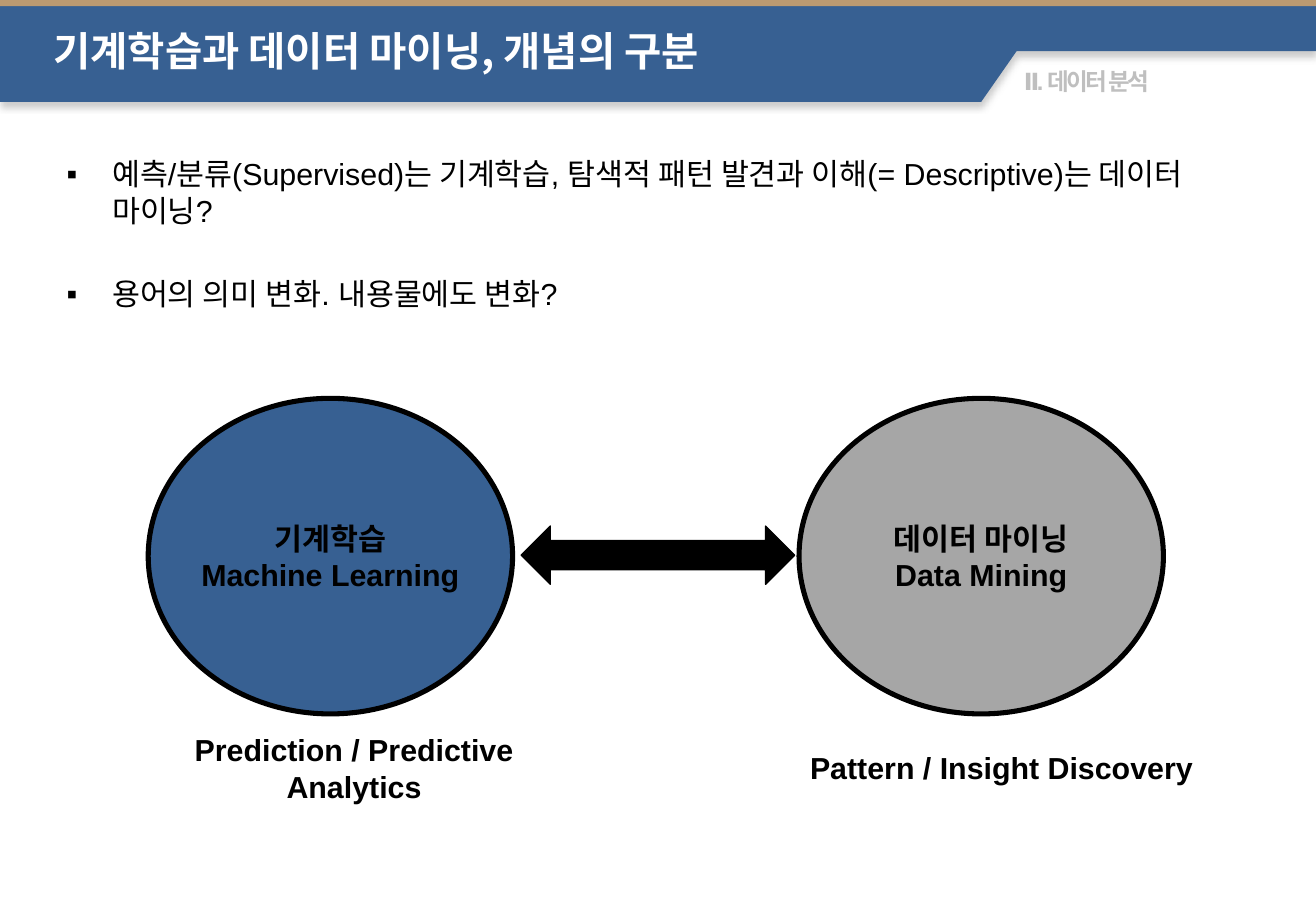
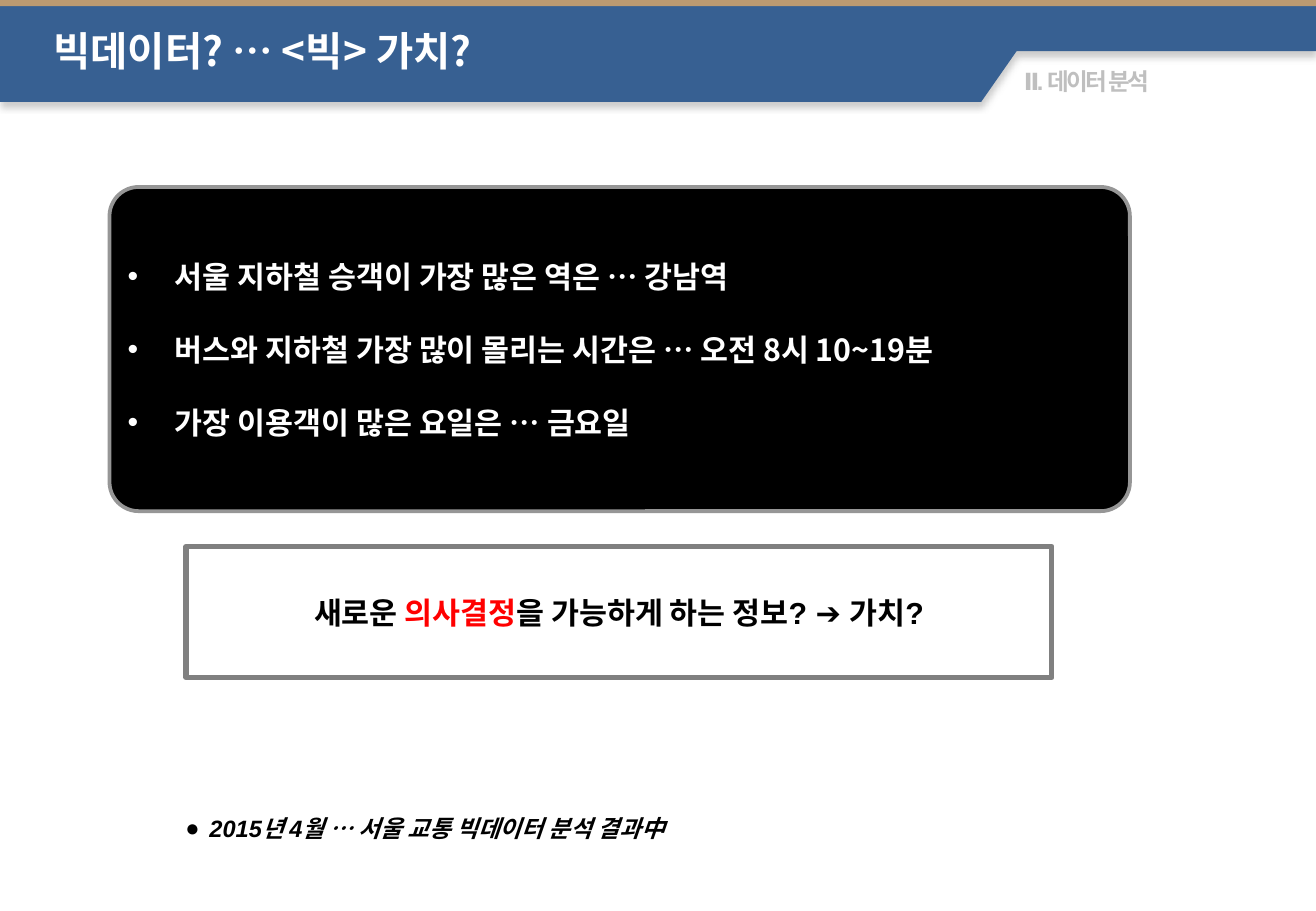
"""Build two slides on machine learning, data mining and the value of big data."""
from lxml.etree import SubElement
from pptx import Presentation
from pptx.dml.color import RGBColor
from pptx.enum.shapes import MSO_SHAPE
from pptx.enum.text import MSO_ANCHOR, MSO_AUTO_SIZE, PP_ALIGN
from pptx.oxml.ns import qn
from pptx.util import Cm, Pt

BLUE, TAN, BLACK, WHITE = "376092", "BB9A71", "000000", "FFFFFF"
KOREAN_FONT = "Noto Sans CJK KR"


def paint(fill, color):
    fill.solid()
    fill.fore_color.rgb = RGBColor.from_string(color)


def write(frame, text, new=False, size=18, font="Arial", color=BLACK, bold=True,
          italic=False, align=PP_ALIGN.LEFT, bullet=None, indent=0, before=0,
          line_spacing=1.0, tracking=0):
    paragraph = frame.add_paragraph() if new else frame.paragraphs[-1]
    paragraph.alignment = align
    paragraph.line_spacing = line_spacing
    paragraph.space_before = Pt(before)
    if bullet:
        properties = paragraph._p.get_or_add_pPr()
        properties.set("marL", str(Cm(indent)))
        properties.set("indent", str(-Cm(indent)))
        SubElement(properties, qn("a:buFont"), typeface="Arial")
        SubElement(properties, qn("a:buChar"), char=bullet)
    run = paragraph.add_run()
    run.text = text
    run.font.size, run.font.name = Pt(size), font
    run.font.bold, run.font.italic = bold, italic
    paint(run.font.fill, color)
    run_properties = run._r.get_or_add_rPr()
    SubElement(run_properties, qn("a:ea"), typeface=KOREAN_FONT)
    if tracking:
        run_properties.set("spc", str(tracking))


presentation = Presentation()
presentation.slide_width, presentation.slide_height = Cm(27.52), Cm(19.05)
master = presentation.slide_master

master_title = master.placeholders[0]
master_title.left, master_title.top = Cm(0.86), Cm(0.61)
master_title.width, master_title.height = Cm(21.11), Cm(1.12)
master_title.text_frame.vertical_anchor = MSO_ANCHOR.TOP
master_title.text_frame.auto_size = MSO_AUTO_SIZE.NONE

titles = [(1, "기계학습과 데이터 마이닝, 개념의 구분"), (5, "빅데이터? … <빅> 가치?")]
for layout_index, title in titles:
    slide = presentation.slides.add_slide(presentation.slide_layouts[layout_index])
    write(slide.shapes.title.text_frame, title, size=24, font=KOREAN_FONT,
          color=WHITE, line_spacing=0.8)
concept_slide, value_slide = presentation.slides

shapes = concept_slide.shapes
builder = shapes.build_freeform(0, 0)
corners = [(27.52, 0), (27.52, 1.07), (21.26, 1.07), (20.52, 2.13), (0, 2.13)]
builder.add_line_segments([(Cm(x), Cm(y)) for x, y in corners], close=True)
header_band = builder.convert_to_shape()
top_strip = shapes.add_shape(MSO_SHAPE.RECTANGLE, 0, 0, Cm(27.52), Cm(0.13))
for shape, color in [(header_band, BLUE), (top_strip, TAN)]:
    shape.shadow.inherit = False
    paint(shape.fill, color)
    shape.line.fill.background()
effects = header_band.element.spPr.find(qn("a:effectLst"))
shadow = SubElement(effects, qn("a:outerShdw"), blurRad=str(Pt(4)), dist=str(Pt(3)),
                    dir="5400000", algn="t", rotWithShape="0")
shadow_color = SubElement(shadow, qn("a:srgbClr"), val="808080")
SubElement(shadow_color, qn("a:alpha"), val="40000")
section_label = shapes.add_textbox(Cm(21.16), Cm(1.27), Cm(6.36), Cm(0.86))
section_label.text_frame.word_wrap = True
write(section_label.text_frame, "Ⅱ. 데이터 분석", size=14, color="BFBFBF", tracking=-150)
for number, shape in enumerate([header_band, section_label, top_strip], 20):
    shape.element.nvSpPr.cNvPr.set("id", str(number))
    master.shapes.element.append(shape.element)

body = concept_slide.placeholders[1]
body.left, body.top, body.width, body.height = Cm(1.14), Cm(3.12), Cm(24.05), Cm(15.01)
body.text_frame.auto_size = MSO_AUTO_SIZE.NONE
questions = [
    "예측/분류(Supervised)는 기계학습, 탐색적 패턴 발견과 이해(= Descriptive)는 데이터 마이닝?",
    "용어의 의미 변화. 내용물에도 변화?",
]
for index, question in enumerate(questions):
    write(body.text_frame, question, new=index > 0, bold=False, bullet="▪", indent=0.95,
          before=28 * index)

concepts = [
    (3.1, BLUE, ["기계학습", "Machine Learning"], 3.1, "Prediction / Predictive Analytics"),
    (16.71, "A6A6A6", ["데이터 마이닝", "Data Mining"], 16.64, "Pattern / Insight Discovery"),
]
for left, color, names, caption_left, caption_text in concepts:
    ellipse = shapes.add_shape(MSO_SHAPE.OVAL, Cm(left), Cm(8.33), Cm(7.62), Cm(6.6))
    ellipse.shadow.inherit = False
    paint(ellipse.fill, color)
    paint(ellipse.line.fill, BLACK)
    ellipse.line.width = Pt(3)
    ellipse.text_frame.word_wrap = False
    for index, name in enumerate(names):
        write(ellipse.text_frame, name, new=index > 0, align=PP_ALIGN.CENTER)
    caption = shapes.add_textbox(Cm(caption_left), Cm(15.52), Cm(8.61), Cm(1.07))
    caption.text_frame.word_wrap = True
    caption.text_frame.vertical_anchor = MSO_ANCHOR.MIDDLE
    write(caption.text_frame, caption_text, align=PP_ALIGN.CENTER)

arrow = shapes.add_shape(MSO_SHAPE.LEFT_RIGHT_ARROW, Cm(10.9), Cm(11), Cm(5.72), Cm(1.22))
arrow.shadow.inherit = False
paint(arrow.fill, BLACK)
paint(arrow.line.fill, BLACK)
arrow.line.width = Pt(0.75)

shapes = value_slide.shapes
facts_panel = shapes.add_shape(MSO_SHAPE.ROUNDED_RECTANGLE, Cm(2.29), Cm(3.91), Cm(21.34), Cm(6.78))
facts_panel.adjustments[0] = 0.09
decision_box = shapes.add_shape(MSO_SHAPE.RECTANGLE, Cm(3.89), Cm(11.43), Cm(18.11), Cm(2.74))
panels = [(facts_panel, BLACK, "969696", 2.25), (decision_box, WHITE, "808080", 3)]
for panel, fill_color, line_color, line_width in panels:
    panel.shadow.inherit = False
    paint(panel.fill, fill_color)
    paint(panel.line.fill, line_color)
    panel.line.width = Pt(line_width)
    panel.text_frame.word_wrap = True
    panel.text_frame.vertical_anchor = MSO_ANCHOR.MIDDLE

facts_frame = facts_panel.text_frame
facts_frame.margin_left = facts_frame.margin_right = Cm(0.2)
facts_frame.margin_top = facts_frame.margin_bottom = Cm(0.1)
facts = [
    "서울 지하철 승객이 가장 많은 역은 … 강남역",
    "버스와 지하철 가장 많이 몰리는 시간은 … 오전 8시 10~19분",
    "가장 이용객이 많은 요일은 … 금요일",
]
for index, fact in enumerate(facts):
    write(facts_frame, fact, new=index > 0, font=KOREAN_FONT, color=WHITE, bullet="•",
          indent=0.99, before=21.6 if index else 0)

sentence = [("새로운 ", BLACK), ("의사결정", "FF0000"), ("을 가능하게 하는 정보? ➔ 가치?", BLACK)]
for text, color in sentence:
    write(decision_box.text_frame, text, color=color, align=PP_ALIGN.CENTER)

source_note = shapes.add_textbox(Cm(3.63), Cm(16.43), Cm(18.11), Cm(1.47))
source_note.text_frame.word_wrap = True
source_note.text_frame.vertical_anchor = MSO_ANCHOR.MIDDLE
write(source_note.text_frame, "2015년 4월 … 서울 교통 빅데이터 분석 결과中", size=14, italic=True,
      bullet="●", indent=0.5, line_spacing=1.5)

presentation.save("out.pptx")
